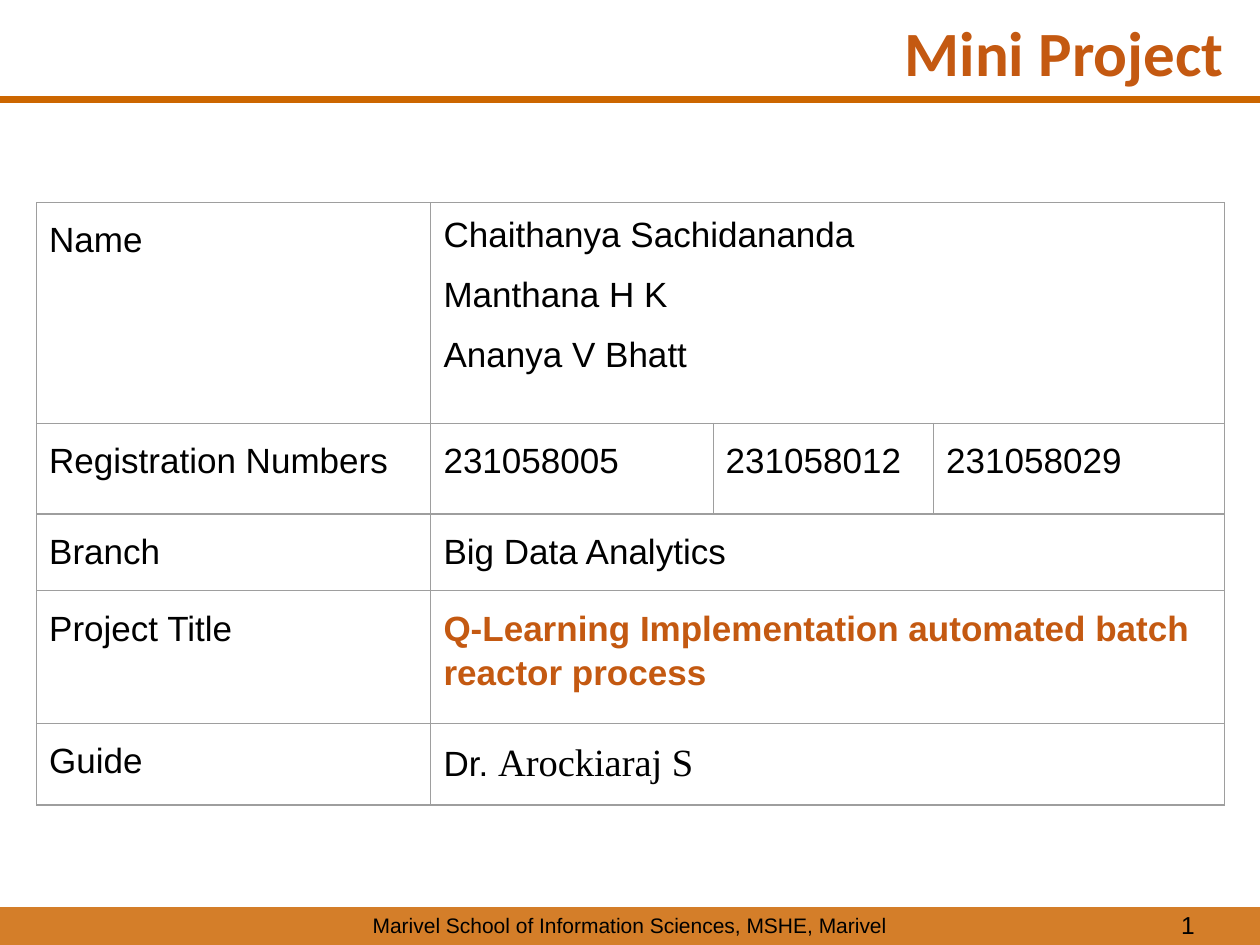
from lxml import etree
from pptx import Presentation
from pptx.dml.color import RGBColor
from pptx.enum.shapes import MSO_CONNECTOR, MSO_SHAPE
from pptx.enum.text import MSO_ANCHOR, PP_ALIGN
from pptx.oxml.ns import qn
from pptx.util import Inches, Pt

LEFT, CENTER, RIGHT = PP_ALIGN.LEFT, PP_ALIGN.CENTER, PP_ALIGN.RIGHT
TOP, MIDDLE = MSO_ANCHOR.TOP, MSO_ANCHOR.MIDDLE
BLACK, ORANGE, RUST, GREY = "000000", "CC6600", "C45911", "9E9E9E"

TITLE = "Mini Project"
FOOTER = "Marivel School of Information Sciences, MSHE, Marivel"
COLUMN_WIDTHS = [3.13, 2.24, 1.75, 2.31]
# Row height, label, then one entry per value cell (a lone value spans the row)
DETAILS = [
    (1.75, "Name", ["Chaithanya Sachidananda\nManthana H K\nAnanya V Bhatt"]),
    (0.72, "Registration Numbers", ["231058005", "231058012", "231058029"]),
    (0.61, "Branch", ["Big Data Analytics"]),
    (1.05, "Project Title",
     ["Q-Learning Implementation automated batch reactor process"]),
    (0.65, "Guide", ["Dr. "]),
]
GUIDE_NAME = "Arockiaraj S"


def rgb(value):
    return RGBColor.from_string(value)


def style(font, size, color=BLACK, name="Arial", bold=False):
    font.size, font.name, font.bold = Pt(size), name, bold
    font.color.rgb = rgb(color)


def box(left, top, width, height):
    return [Inches(v) for v in (left, top, width, height)]


def add_label(slide, place, text, size, align):
    frame = slide.shapes.add_textbox(*box(*place)).text_frame
    frame.word_wrap = True
    paragraph = frame.paragraphs[0]
    paragraph.text, paragraph.alignment = text, align
    style(paragraph.font, size)
    return paragraph


def add_slide_number(paragraph):
    field = etree.SubElement(paragraph._p, qn("a:fld"), type="slidenum",
                             id="{B6F15528-21DE-4FAA-801E-634DDDAF4B2B}")
    etree.SubElement(field, qn("a:rPr"), lang="en-US")
    etree.SubElement(field, qn("a:t")).text = "1"


def add_borders(cell):
    properties = cell._tc.get_or_add_tcPr()
    for position, side in enumerate(("a:lnL", "a:lnR", "a:lnT", "a:lnB")):
        line = etree.Element(qn(side), w=str(Pt(0.75)))
        fill = etree.SubElement(line, qn("a:solidFill"))
        etree.SubElement(fill, qn("a:srgbClr"), val=GREY)
        properties.insert(position, line)


def fill_cell(cell, text):
    cell.text = text
    cell.margin_left = cell.margin_right = Inches(0.1)
    cell.margin_top = cell.margin_bottom = Inches(0.1)
    cell.vertical_anchor = TOP
    paragraphs = cell.text_frame.paragraphs
    for paragraph in paragraphs:
        style(paragraph.font, 20)
        if len(paragraphs) == 1:
            paragraph.line_spacing = 1.15
    for paragraph in paragraphs[1:]:
        paragraph.space_before = Pt(12)


def add_details(slide):
    heights = [height for height, _, _ in DETAILS]
    table = slide.shapes.add_table(
        len(DETAILS), len(COLUMN_WIDTHS),
        *box(0.29, 1.61, sum(COLUMN_WIDTHS), sum(heights))).table
    table.first_row = table.horz_banding = False
    for column, width in zip(table.columns, COLUMN_WIDTHS):
        column.width = Inches(width)
    for r, (height, label, values) in enumerate(DETAILS):
        table.rows[r].height = Inches(height)
        if len(values) == 1:
            table.cell(r, 1).merge(table.cell(r, len(COLUMN_WIDTHS) - 1))
        for c, text in enumerate([label, *values]):
            fill_cell(table.cell(r, c), text)
    for cell in table.iter_cells():
        cell.fill.background()
        add_borders(cell)

    project = table.cell(3, 1).text_frame.paragraphs[0]
    style(project.font, 20, RUST, bold=True)
    guide = table.cell(4, 1).text_frame.paragraphs[0]
    style(guide.runs[0].font, 20)
    name = guide.add_run()
    name.text = GUIDE_NAME
    style(name.font, 22, name="Times New Roman")


def add_bands(slide):
    rule = slide.shapes.add_connector(
        MSO_CONNECTOR.STRAIGHT, *box(0, 0.79, 10.03, 0.79))
    rule.line.color.rgb, rule.line.width = rgb(ORANGE), Pt(4.5)
    etree.SubElement(rule._element.spPr, qn("a:effectLst"))

    band = slide.shapes.add_shape(MSO_SHAPE.RECTANGLE, *box(0, 7.2, 10, 0.3))
    band.shadow.inherit = False
    band.fill.solid()
    band.fill.fore_color.rgb = rgb(ORANGE)
    color = band._element.spPr.find(qn("a:solidFill"))[0]
    etree.SubElement(color, qn("a:alpha"), val="84000")
    band.line.fill.background()


def add_title(slide):
    title = slide.shapes.title
    title.left, title.top, title.width, title.height = box(7.08, 0, 2.92, 0.81)
    frame = title.text_frame
    frame.text, frame.vertical_anchor = TITLE, MIDDLE
    frame.margin_left = frame.margin_right = Inches(0.1)
    frame.margin_top = frame.margin_bottom = Inches(0.1)
    frame.paragraphs[0].alignment = LEFT
    style(frame.paragraphs[0].font, 36, RUST, "Calibri", bold=True)


def main():
    deck = Presentation()
    deck.slide_width, deck.slide_height = Inches(10), Inches(7.5)
    slide = deck.slides.add_slide(deck.slide_layouts.get_by_name("Title Only"))
    add_bands(slide)
    add_label(slide, (0, 7.19, 10, 0.3), FOOTER, 12, CENTER)
    add_slide_number(add_label(slide, (7.25, 7.17, 2.33, 0.33), "", 14, RIGHT))
    add_details(slide)
    add_title(slide)
    deck.save("out.pptx")


if __name__ == "__main__":
    main()
